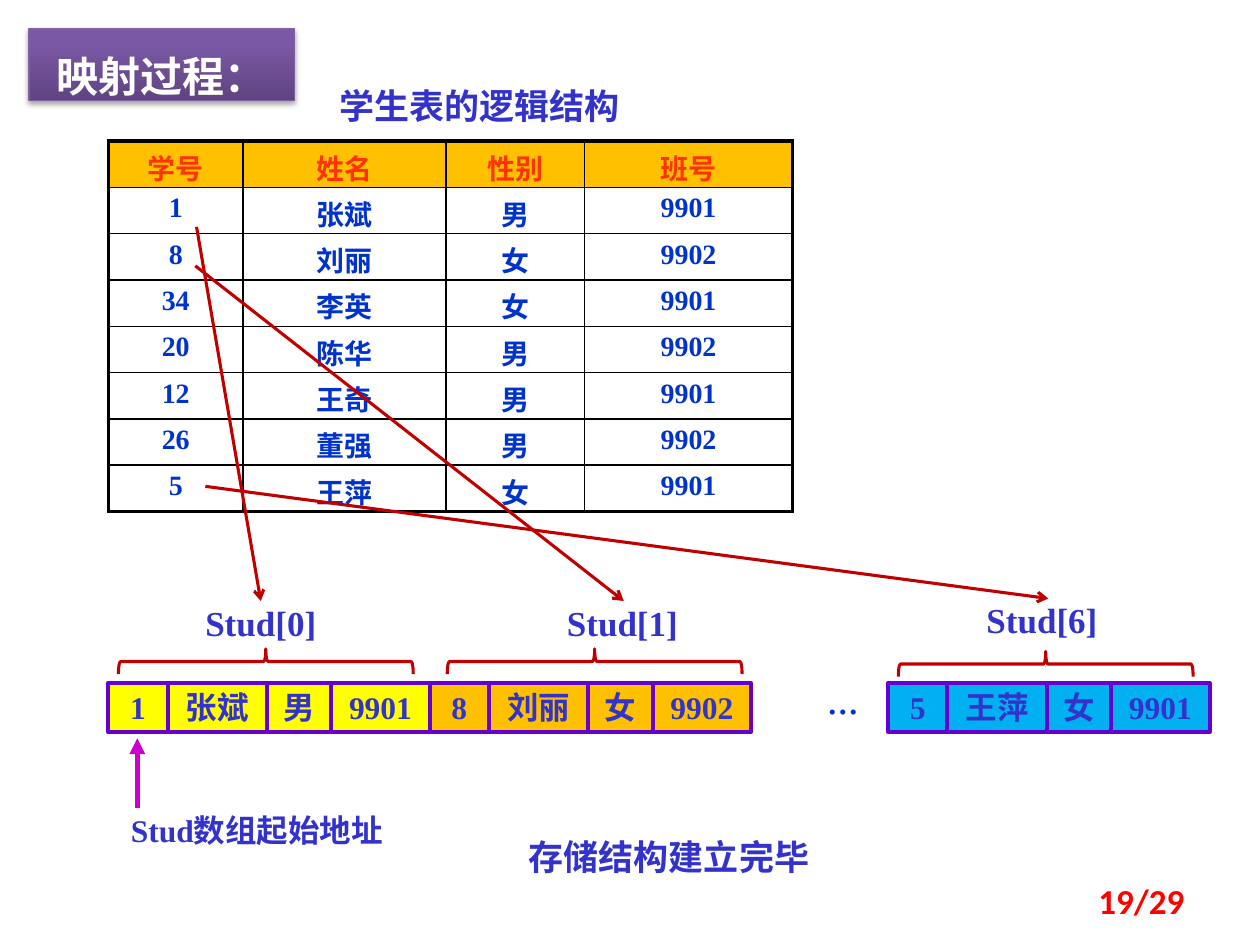
"""Build the slide that maps a student table onto an array of records."""
import lxml.etree
import pptx
import pptx.dml.color
import pptx.enum.shapes
import pptx.enum.text
import pptx.oxml
import pptx.oxml.ns
import pptx.util

THEME = {
    "serif": "Times New Roman", "sans": "Calibri", "chinese": "Noto Sans CJK SC",
    "title": 24, "heading": 20, "body": 18, "table": 16,
    "white": "FFFFFF", "text": "3333CC", "data": "0033CC", "header": "FF3300",
    "page": "FF0000", "orange": "FFC000", "yellow": "FFFF00", "blue": "00B0F0",
    "frame": "6600CC", "mapping": "C00000", "address": "CC00CC",
    "grid": "000000", "title line": "7D60A0",
    "title gradient": ((0, "5F4480"), (80, "7B58A6"), (100, "7C57A8")),
}
NAMESPACE = pptx.oxml.ns.nsdecls("a")
RGB = pptx.dml.color.RGBColor.from_string
ALIGN = pptx.enum.text.PP_ALIGN
ANCHOR = pptx.enum.text.MSO_ANCHOR
SHAPE = pptx.enum.shapes.MSO_SHAPE

presentation = pptx.Presentation()
presentation.slide_width = pptx.util.Inches(10)
presentation.slide_height = pptx.util.Inches(7.5)
column = presentation.slide_width / 100
row = presentation.slide_height / 75
slide = presentation.slides.add_slide(presentation.slide_layouts[6])
shapes = slide.shapes


def write(frame, text, size, color, align=ALIGN.CENTER, spacing=None, font="serif"):
    frame.word_wrap = True
    paragraph = frame.paragraphs[0]
    paragraph.text = text
    paragraph.alignment = align
    paragraph.line_spacing = spacing
    paragraph.font.name = THEME[font]
    paragraph.font.size = pptx.util.Pt(THEME[size])
    paragraph.font.bold = True
    paragraph.font.color.rgb = RGB(THEME[color])
    defaults = paragraph._p.pPr.find(pptx.oxml.ns.qn("a:defRPr"))
    lxml.etree.SubElement(defaults, pptx.oxml.ns.qn("a:ea"), typeface=THEME["chinese"])


def add_arrow(start, end, color, width, head):
    arrow = shapes.add_connector(
        pptx.enum.shapes.MSO_CONNECTOR.STRAIGHT,
        int(start[0] * column), int(start[1] * row), int(end[0] * column), int(end[1] * row))
    arrow.line.color.rgb = RGB(THEME[color])
    arrow.line.width = pptx.util.Pt(width)
    lxml.etree.SubElement(arrow.line._get_or_add_ln(), pptx.oxml.ns.qn("a:tailEnd"), type=head)
    lxml.etree.SubElement(arrow._element.spPr, pptx.oxml.ns.qn("a:effectLst"))


title = shapes.add_shape(SHAPE.RECTANGLE, int(2.3 * column), int(2.3 * row),
                         int(21.1 * column), int(5.7 * row))
title.line.color.rgb = RGB(THEME["title line"])
title.line.width = pptx.util.Pt(0.75)
stops = "".join(f'<a:gs pos="{position * 1000}"><a:srgbClr val="{color}"/></a:gs>'
                for position, color in THEME["title gradient"])
title._element.spPr.find(pptx.oxml.ns.qn("a:prstGeom")).addnext(pptx.oxml.parse_xml(
    f'<a:gradFill {NAMESPACE} rotWithShape="1"><a:gsLst>{stops}</a:gsLst>'
    '<a:lin ang="16200000" scaled="0"/></a:gradFill>'))
title._element.spPr.append(pptx.oxml.parse_xml(
    f'<a:effectLst {NAMESPACE}><a:outerShdw blurRad="40000" dist="23000" dir="5400000" '
    'rotWithShape="0"><a:srgbClr val="000000"><a:alpha val="35000"/></a:srgbClr>'
    '</a:outerShdw></a:effectLst>'))
title.text_frame.vertical_anchor = ANCHOR.TOP
write(title.text_frame, "映射过程：", "title", "white", spacing=1.3)

captions = (
    ("学生表的逻辑结构", 24.4, 5.2, 27.3, 5.4, "heading", "text", ALIGN.CENTER, 1.3, "serif"),
    ("存储结构建立完毕", 39.8, 64.8, 26.6, 5.4, "heading", "text", ALIGN.CENTER, 1.3, "serif"),
    ("Stud数组起始地址", 9.4, 63.9, 23.4, 4, "body", "text", ALIGN.LEFT, None, "serif"),
    ("…", 63.2, 55, 7.5, 3.1, "body", "data", ALIGN.CENTER, None, "chinese"),
    ("19/29", 71.7, 69.5, 23.3, 4, "heading", "page", ALIGN.RIGHT, None, "sans"),
)
for text, left, top, width, height, *style in captions:
    caption = shapes.add_textbox(int(left * column), int(top * row),
                                 int(width * column), int(height * row))
    if text == "…":
        caption.text_frame.margin_top = caption.text_frame.margin_bottom = 0
    if text == "19/29":
        caption.text_frame.vertical_anchor = ANCHOR.MIDDLE
    write(caption.text_frame, text, *style)

students = (
    ("学号", "姓名", "性别", "班号"),
    ("1", "张斌", "男", "9901"),
    ("8", "刘丽", "女", "9902"),
    ("34", "李英", "女", "9901"),
    ("20", "陈华", "男", "9902"),
    ("12", "王奇", "男", "9901"),
    ("26", "董强", "男", "9902"),
    ("5", "王萍", "女", "9901"),
)
table_widths = (10.7, 16.1, 11, 16.5)
last_row, last_column = len(students) - 1, len(table_widths) - 1
table = shapes.add_table(len(students), len(table_widths), int(8.6 * column), int(11.2 * row),
                         int(sum(table_widths) * column), int(29.4 * row)).table
table.first_row = table.horz_banding = False
for table_column, width in zip(table.columns, table_widths):
    table_column.width = int(width * column)
for row_index, student in enumerate(students):
    for column_index, value in enumerate(student):
        cell = table.cell(row_index, column_index)
        cell.margin_top, cell.margin_bottom = pptx.util.Pt(3.2), 0
        outer_edges = {"L": column_index == 0, "R": column_index == last_column,
                       "T": row_index == 0, "B": row_index == last_row}
        for side, outer in outer_edges.items():
            width = pptx.util.Pt(2.25 if outer else 1)
            cell._tc.get_or_add_tcPr().append(pptx.oxml.parse_xml(
                f'<a:ln{side} {NAMESPACE} w="{width}"><a:solidFill>'
                f'<a:srgbClr val="{THEME["grid"]}"/></a:solidFill></a:ln{side}>'))
        if row_index == 0:
            cell.fill.solid()
            cell.fill.fore_color.rgb = RGB(THEME["orange"])
        else:
            cell.fill.background()
        write(cell.text_frame, value, "table", "data" if row_index else "header")

field_widths = (4.7, 7.9, 5.1, 7.8)
records = (
    ("Stud[0]", students[1], 8.6, "yellow", 15.6, 47.7, 21.1, 52.5),
    ("Stud[1]", students[2], 34.1, "orange", 44.3, 47.7, 47.2, 52.5),
    ("Stud[6]", students[7], 70.5, "blue", 77.6, 47.5, 83, 52.7),
)
for name, student, left, fill, label_left, label_top, brace_x, brace_y in records:
    label = shapes.add_textbox(int(label_left * column), int(label_top * row),
                               int(10.2 * column), int(3.4 * row))
    frame = label.text_frame
    frame.margin_left = frame.margin_right = frame.margin_top = frame.margin_bottom = 0
    write(frame, name, "heading", "text")
    for index, value in enumerate(student):
        field = shapes.add_shape(
            SHAPE.RECTANGLE, int((left + sum(field_widths[:index])) * column), int(54.2 * row),
            int(field_widths[index] * column), int(3.9 * row))
        field.shadow.inherit = False
        field.fill.solid()
        field.fill.fore_color.rgb = RGB(THEME[fill])
        field.line.color.rgb = RGB(THEME["frame"])
        field.line.width = pptx.util.Pt(2.25)
        frame = field.text_frame
        frame.margin_left = frame.margin_right = frame.margin_bottom = 0
        frame.margin_top = int(0.4 * row)
        frame.vertical_anchor = ANCHOR.MIDDLE
        write(frame, value, "body", "text", spacing=0.8)
    brace = shapes.add_shape(SHAPE.RIGHT_BRACE, int((brace_x - 1) * column),
                             int((brace_y - 11.7) * row), int(2 * column), int(23.4 * row))
    brace.rotation = 270
    brace.shadow.inherit = False
    brace.fill.background()
    brace.line.color.rgb = RGB(THEME["mapping"])
    brace.line.width = pptx.util.Pt(1.75)

mappings = (
    ((15.6, 18), (20.7, 47.7)),
    ((15.5, 21.1), (49.5, 47.7)),
    ((16.3, 38.6), (83.2, 47.5)),
)
for start, end in mappings:
    add_arrow(start, end, "mapping", 1.75, "arrow")
add_arrow((10.9, 64.1), (10.9, 58.6), "address", 3, "triangle")

presentation.save("out.pptx")
